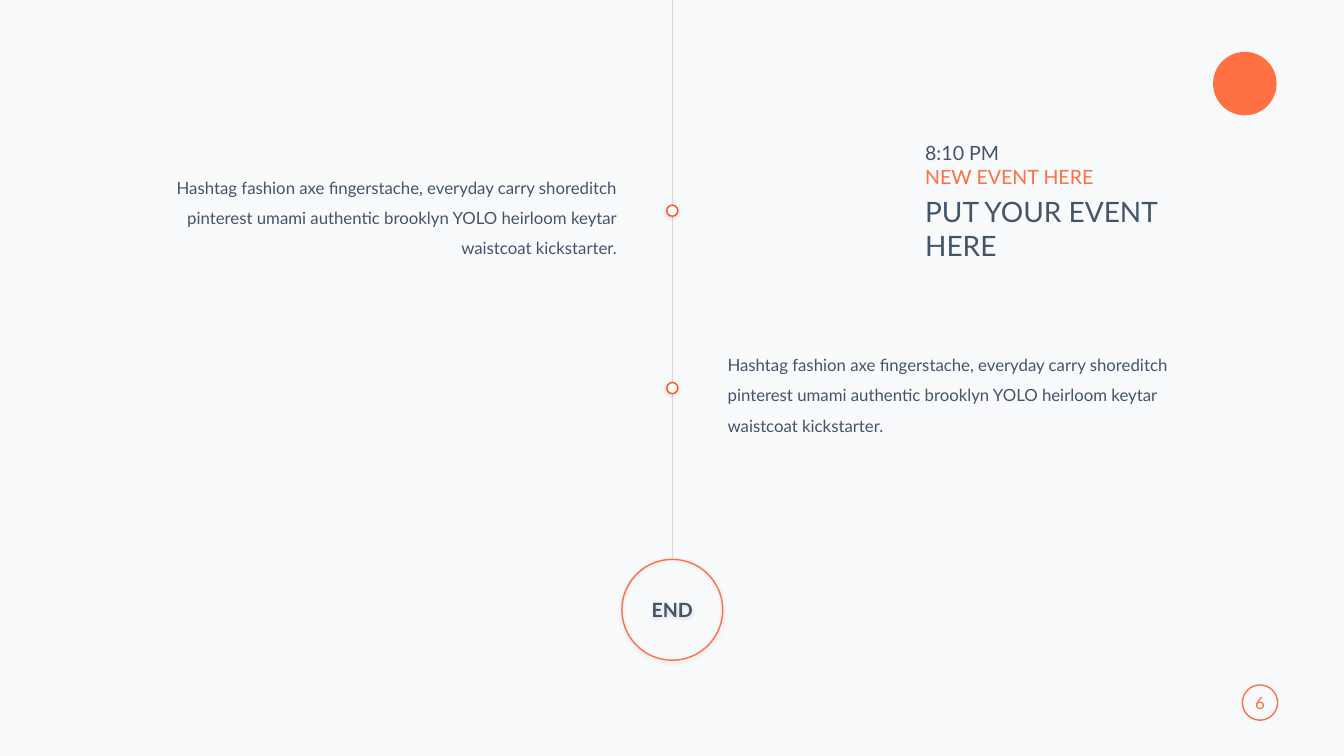
from dataclasses import dataclass

from lxml import etree
from pptx import Presentation
from pptx import util as u
from pptx.dml.color import RGBColor
from pptx.enum import shapes, text
from pptx.oxml.ns import qn

HUES = {"wash": "7B8DB3", "rim": "EBEBEB", "ink": "44546A", "coral": "FF7043",
        "dot": "FF5722", "axis": "D9D9D9", "white": "FFFFFF"}
FONT = "Lato"
WIDE, HIGH = 40 / 3, 7.5
AXIS = 6.67
SHAPE = shapes.MSO_SHAPE
ALIGN = text.PP_ALIGN
BLURB = ("Hashtag fashion axe fingerstache, everyday carry shoreditch "
         "pinterest umami authentic brooklyn YOLO heirloom keytar "
         "waistcoat kickstarter.")


@dataclass
class Line:
    words: str
    size: float = 12
    hue: str = "ink"
    bold: bool = False
    align: int = ALIGN.LEFT
    lead: float | None = None
    gap: float = 0


@dataclass
class Label:
    left: float
    top: float
    width: float
    height: float
    lines: list[Line]
    wrap: bool = True


@dataclass
class Mark:
    mid: tuple[float, float]
    size: float
    edge: str | None
    fill: str | None = None
    kind: int = SHAPE.OVAL
    shade: bool = False


def color(hue: str) -> RGBColor:
    return RGBColor.from_string(HUES[hue])


def apply(item, look: dict) -> None:
    """Set each named value on item."""
    for name, value in look.items():
        setattr(item, name, value)


def write(frame, lines: list[Line]) -> None:
    for num, line in enumerate(lines):
        para = frame.add_paragraph() if num else frame.paragraphs[0]
        apply(para, {"alignment": line.align, "line_spacing": line.lead,
                     "space_before": u.Pt(line.gap)})
        run = para.add_run()
        run.text = line.words
        apply(run.font, {"name": FONT, "size": u.Pt(line.size), "bold": line.bold})
        run.font.color.rgb = color(line.hue)


def add_label(slide, label: Label) -> None:
    box = slide.shapes.add_textbox(u.Inches(label.left), u.Inches(label.top),
                                   u.Inches(label.width), u.Inches(label.height))
    apply(box.text_frame, {"word_wrap": label.wrap,
                           "auto_size": text.MSO_AUTO_SIZE.SHAPE_TO_FIT_TEXT})
    write(box.text_frame, label.lines)


def add_shade(shape) -> None:
    """Give the shape a soft shadow straight below it."""
    list_el = shape._element.spPr.find(qn("a:effectLst"))
    drop = etree.SubElement(list_el, qn("a:outerShdw"), blurRad=str(u.Pt(3)),
                            dist=str(u.Pt(1)), dir="5400000", algn="t",
                            rotWithShape="0")
    tint = etree.SubElement(drop, qn("a:srgbClr"), val="000000")
    etree.SubElement(tint, qn("a:alpha"), val="15000")


def add_wash(slide) -> None:
    """Cover the slide with a faint tint and a faint rim."""
    wash = slide.shapes.add_shape(SHAPE.RECTANGLE, 0, 0, u.Inches(WIDE), u.Inches(HIGH))
    wash.shadow.inherit = False
    wash.fill.solid()
    wash.fill.fore_color.rgb = color("wash")
    wash.line.color.rgb = color("rim")
    wash.line.width = u.Pt(2)
    tints = wash._element.spPr.iter(qn("a:srgbClr"))
    for tint, alpha in zip(tints, ("4000", "10000")):
        etree.SubElement(tint, qn("a:alpha"), val=alpha)


def add_mark(slide, mark: Mark):
    left, top = (u.Inches(mid - mark.size / 2) for mid in mark.mid)
    side = u.Inches(mark.size)
    shape = slide.shapes.add_shape(mark.kind, left, top, side, side)
    shape.shadow.inherit = False
    if mark.fill:
        shape.fill.solid()
        shape.fill.fore_color.rgb = color(mark.fill)
    else:
        shape.fill.background()
    if mark.edge:
        shape.line.color.rgb = color(mark.edge)
        shape.line.width = u.Pt(1)
    else:
        shape.line.fill.background()
    if mark.shade:
        add_shade(shape)
    return shape


def add_axis(slide, end) -> None:
    axis = slide.shapes.add_connector(shapes.MSO_CONNECTOR.STRAIGHT, u.Inches(AXIS),
                                      0, u.Inches(AXIS), end.top)
    axis.end_connect(end, 0)
    axis.line.color.rgb = color("axis")
    axis.line.width = u.Pt(0.75)
    etree.SubElement(axis._element.spPr, qn("a:effectLst"))


LABELS = [
    Label(12.31, 6.82, 0.38, 0.3,
          [Line("6", hue="coral", align=ALIGN.CENTER)], wrap=False),
    Label(9.08, 1.35, 3.57, 1.31,
          [Line("8:10 PM", 14), Line("NEW EVENT HERE", 14, "coral"),
           Line("PUT YOUR EVENT", 20, gap=4.8), Line("HERE", 20)]),
    Label(1.6, 1.61, 4.62, 1.01, [Line(BLURB, align=ALIGN.RIGHT, lead=1.5)]),
    Label(7.12, 3.37, 4.62, 1.01, [Line(BLURB, lead=1.5)]),
]
BADGE = Mark((12.35, 0.83), 0.63, None, "coral")
PAGE = Mark((12.5, 6.97), 0.35, "coral", kind=SHAPE.ROUNDED_RECTANGLE)
END = Mark((AXIS, 6.05), 1, "coral", shade=True)
DOTS = [Mark((AXIS, mid), 0.11, "dot", "white", shade=True) for mid in (3.85, 2.09)]


def main() -> None:
    deck = Presentation()
    apply(deck, {"slide_width": u.Inches(WIDE), "slide_height": u.Inches(HIGH)})
    slide = deck.slides.add_slide(deck.slide_layouts[6])

    add_wash(slide)
    add_mark(slide, BADGE)
    add_mark(slide, PAGE).adjustments[0] = 0.5
    end = add_mark(slide, END)
    sides = ("left", "top", "right", "bottom")
    apply(end.text_frame, {f"margin_{side}": 0 for side in sides})
    end.text_frame.vertical_anchor = text.MSO_ANCHOR.MIDDLE
    write(end.text_frame, [Line("END", 14, bold=True, align=ALIGN.CENTER)])
    add_axis(slide, end)
    for dot in DOTS:
        add_mark(slide, dot)
    for label in LABELS:
        add_label(slide, label)
    deck.save("out.pptx")


if __name__ == "__main__":
    main()
